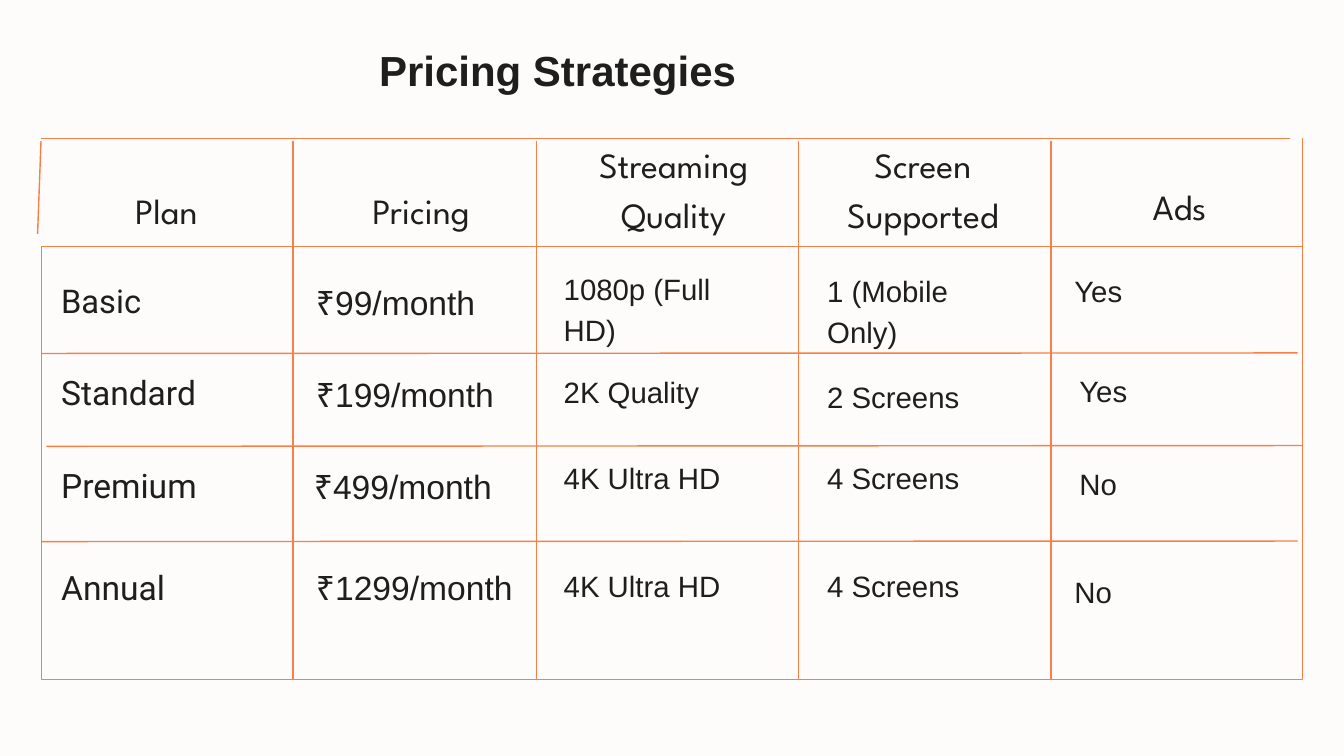
from itertools import pairwise

from lxml import etree
from pptx import Presentation
from pptx.dml.color import RGBColor
from pptx.enum import shapes, text
from pptx.oxml import ns
from pptx.util import Cm, Pt

HUES = {"page": "FDFCFB", "ink": "1E1E1E", "line": "F88046"}

# Edges of the columns and rows, in cm
COLS = [1.57, 11.07, 20.27, 30.18, 39.73, 49.23]
ROWS = [5.16, 9.32, 13.35, 16.85, 20.46, 25.68]

# Left edge and width of the text in each column, in cm
HEAD = [(2.31, 7.95), (11.94, 7.95), (21.49, 7.95), (30.99, 7.95), (40.61, 7.95)]
BODY = [(2.31, 7.95), (11.94, 7.95), (21.31, 7.39), (31.27, 7.39), (40.61, 7.39)]
FONTS = [("Roboto", 36), ("Arial", 36)] + [("Arial", 31.5)] * 3

# Each cell: wording, space above in cm, and any extra indent in cm
PLANS = [
    [("Plan", 1.74), ("Pricing", 1.74), ("Streaming Quality", 0),
     ("Screen Supported", 0, -0.08), ("Ads", 1.59)],
    [("Basic", 1.1), ("₹99/month", 1.08), ("1080p (Full HD)", 0.71),
     ("1 (Mobile Only)", 0.79), ("Yes", 0.79)],
    [("Standard", 0.51), ("₹199/month", 0.56), ("2K Quality", 0.57),
     ("2 Screens", 0.78), ("Yes", 0.54, 0.19)],
    [("Premium", 0.51), ("₹499/month", 0.52, -0.08), ("4K Ultra HD", 0.32),
     ("4 Screens", 0.32), ("No", 0.55, 0.19)],
    [("Annual", 0.76), ("₹1299/month", 0.75), ("4K Ultra HD", 0.8),
     ("4 Screens", 0.8), ("No", 1.04)],
]

# Ends of the rules across, and of those at the left and right, in cm
RULES = [
    (49.05, 13.34, 1.55, 13.36),
    (49.25, 16.84, 1.75, 16.87),
    (49.05, 20.45, 1.55, 20.47),
    (48.77, 5.23, 1.55, 5.23),
    (49.23, 25.6, 49.23, 5.23),
    (1.55, 5.33, 1.42, 8.84),
]


def hue(name):
    return RGBColor.from_string(HUES[name])


def write(frame, words, face, size, lead, align, bold=False):
    """Fill a text frame with one paragraph; lead is a multiple of the size."""
    frame.word_wrap = True
    para = frame.paragraphs[0]
    para.text = words
    para.alignment = align
    para.line_spacing = Pt(size * lead)
    font = para.font
    font.name, font.size, font.bold = face, Pt(size), bold
    font.color.rgb = hue("ink")


def add_title(slide):
    title = slide.shapes.title
    title.left, title.top = Cm(14.33), Cm(1.68)
    title.width, title.height = Cm(21.41), Cm(1.93)
    frame = title.text_frame
    frame.margin_left = frame.margin_right = 0
    frame.margin_top = frame.margin_bottom = 0
    frame.vertical_anchor = text.MSO_ANCHOR.TOP
    frame.auto_size = text.MSO_AUTO_SIZE.NONE
    write(frame, "Pricing Strategies", "Arial", 45, 1.2,
          text.PP_ALIGN.LEFT, bold=True)


def clear(cell):
    """Take away the fill and borders that the table style gives."""
    cell.fill.background()
    props = cell._tc.get_or_add_tcPr()
    for spot, side in enumerate("LRTB"):
        line = etree.Element(ns.qn(f"a:ln{side}"))
        etree.SubElement(line, ns.qn("a:noFill"))
        props.insert(spot, line)


def fill_cell(cell, row, col, words, above, indent=0):
    head = row == 0
    left, width = (HEAD if head else BODY)[col]
    left += indent
    cell.margin_left = Cm(left - COLS[col])
    cell.margin_right = Cm(max(0, COLS[col + 1] - left - width))
    cell.margin_top, cell.margin_bottom = Cm(above), 0
    cell.vertical_anchor = text.MSO_ANCHOR.TOP
    clear(cell)
    face, size = ("League Spartan", 38) if head else FONTS[col]
    if words == "Basic":
        size = 35
    align = text.PP_ALIGN.CENTER if head else text.PP_ALIGN.LEFT
    write(cell.text_frame, words, face, size, 1.4, align)


def add_plans(slide):
    table = slide.shapes.add_table(
        len(PLANS), len(BODY), Cm(COLS[0]), Cm(ROWS[0]),
        Cm(COLS[-1] - COLS[0]), Cm(ROWS[-1] - ROWS[0])).table
    table.first_row = table.horz_banding = False
    for col, (start, end) in zip(table.columns, pairwise(COLS)):
        col.width = Cm(end - start)
    for row, (start, end) in zip(table.rows, pairwise(ROWS)):
        row.height = Cm(end - start)
    for row, plan in enumerate(PLANS):
        for col, item in enumerate(plan):
            fill_cell(table.cell(row, col), row, col, *item)


def ink_line(line):
    line.color.rgb = hue("line")
    line.width = Pt(1.5)


def add_frame(slide):
    """Outline the rows below the header."""
    left, top = COLS[0], ROWS[1]
    frame = slide.shapes.add_shape(
        shapes.MSO_SHAPE.RECTANGLE, Cm(left), Cm(top),
        Cm(COLS[-1] - left), Cm(ROWS[-1] - top))
    frame.shadow.inherit = False
    frame.fill.background()
    ink_line(frame.line)


def add_rule(slide, *ends):
    rule = slide.shapes.add_connector(
        shapes.MSO_CONNECTOR.STRAIGHT, *map(Cm, ends))
    ink_line(rule.line)
    etree.SubElement(rule._element.spPr, ns.qn("a:effectLst"))


def main():
    deck = Presentation()
    deck.slide_width, deck.slide_height = Cm(50.8), Cm(50.8 * 9 / 16)
    slide = deck.slides.add_slide(deck.slide_layouts[5])
    slide.background.fill.solid()
    slide.background.fill.fore_color.rgb = hue("page")
    add_frame(slide)
    add_title(slide)
    add_plans(slide)
    for x in COLS[1:-1]:
        add_rule(slide, x, 25.7, x, 5.33)
    for ends in RULES:
        add_rule(slide, *ends)
    deck.save("out.pptx")


if __name__ == "__main__":
    main()
